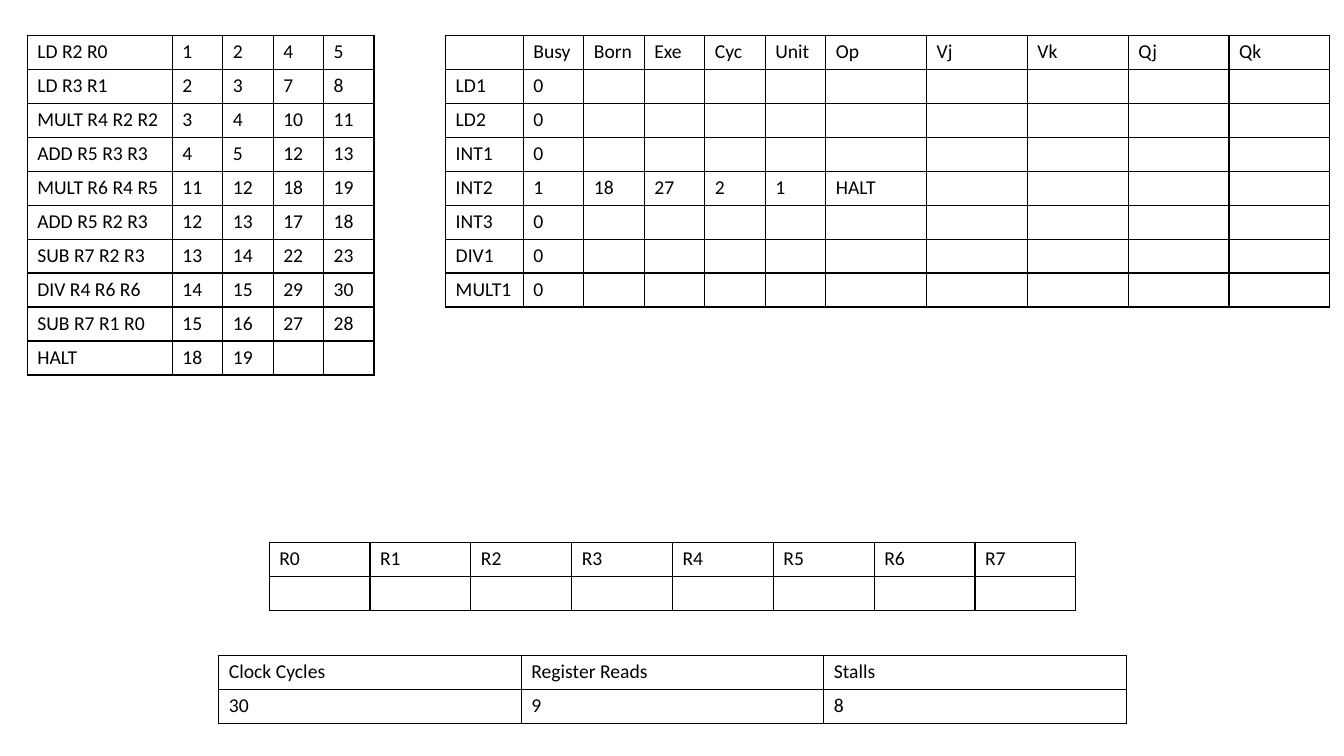
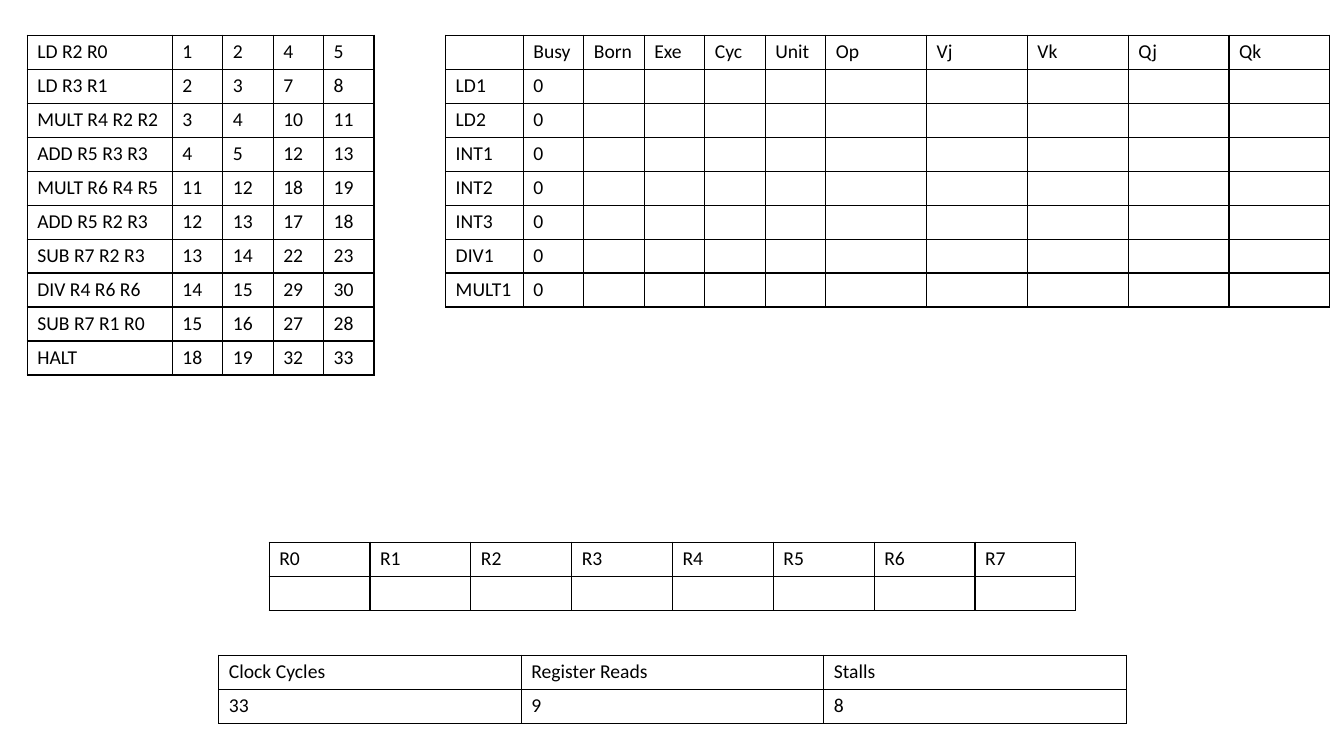
from lxml.etree import SubElement
from pptx import Presentation
from pptx.dml.color import RGBColor
from pptx.oxml.ns import qn
from pptx.util import Inches, Pt

BLACK = RGBColor(0x00, 0x00, 0x00)
FONT = "Calibri"
FONT_SIZE = Pt(14)
BORDER_WIDTH = Pt(1)
ROW_HEIGHT = Inches(0.3)

INSTRUCTIONS = [
    ["LD R2 R0", 1, 2, 4, 5],
    ["LD R3 R1", 2, 3, 7, 8],
    ["MULT R4 R2 R2", 3, 4, 10, 11],
    ["ADD R5 R3 R3", 4, 5, 12, 13],
    ["MULT R6 R4 R5", 11, 12, 18, 19],
    ["ADD R5 R2 R3", 12, 13, 17, 18],
    ["SUB R7 R2 R3", 13, 14, 22, 23],
    ["DIV R4 R6 R6", 14, 15, 29, 30],
    ["SUB R7 R1 R0", 15, 16, 27, 28],
]
STATION_HEADER = ["", "Busy", "Born", "Exe", "Cyc", "Unit", "Op", "Vj", "Vk", "Qj", "Qk"]
STATIONS = ["LD1", "LD2", "INT1", "INT2", "INT3", "DIV1", "MULT1"]
REGISTERS = [f"R{number}" for number in range(8)]
STATISTICS = ["Clock Cycles", "Register Reads", "Stalls"]

# One entry per slide: the HALT row, the busy stations and the statistics
STATES = [
    (["HALT", 18, 19], {"INT2": [1, 18, 27, 2, 1, "HALT"]}, [30, 9, 8]),
    (["HALT", 18, 19, 32, 33], {}, [33, 9, 8]),
]


def style_cell(cell):
    """Give a cell thin black borders, no fill and the shared text size when empty."""
    properties = cell._tc.get_or_add_tcPr()
    for side in ("a:lnL", "a:lnR", "a:lnT", "a:lnB"):
        line = SubElement(properties, qn(side), w=str(BORDER_WIDTH))
        fill = SubElement(line, qn("a:solidFill"))
        SubElement(fill, qn("a:srgbClr"), val=str(BLACK))
    cell.fill.background()
    paragraph = cell.text_frame.paragraphs[0]
    SubElement(paragraph._p, qn("a:endParaRPr"), sz=str(FONT_SIZE.centipoints))


def add_grid(slide, left, top, widths, rows):
    """Add a table; rows may be shorter than the list of column widths."""
    shape = slide.shapes.add_table(
        len(rows), len(widths), Inches(left), Inches(top),
        Inches(sum(widths)), ROW_HEIGHT * len(rows))
    table = shape.table
    table.first_row = False
    table.horz_banding = False
    for column, width in zip(table.columns, widths):
        column.width = Inches(width)
    for row, values in zip(table.rows, rows):
        row.height = ROW_HEIGHT
        for cell, value in zip(row.cells, values):
            if value == "":
                continue
            run = cell.text_frame.paragraphs[0].add_run()
            run.text = str(value)
            run.font.name = FONT
            run.font.size = FONT_SIZE
            run.font.color.rgb = BLACK
        for cell in row.cells:
            style_cell(cell)


presentation = Presentation()
presentation.slide_width = Inches(13.33)
presentation.slide_height = Inches(7.5)
blank_layout = presentation.slide_layouts[6]

for halt_row, busy_stations, statistics in STATES:
    slide = presentation.slides.add_slide(blank_layout)
    station_rows = [[name] + busy_stations.get(name, [0]) for name in STATIONS]
    add_grid(slide, 0.27, 0.35, [1.44] + [0.5] * 4, INSTRUCTIONS + [halt_row])
    add_grid(slide, 4.42, 0.35, [0.77] + [0.6] * 5 + [1] * 5,
             [STATION_HEADER] + station_rows)
    add_grid(slide, 2.67, 5.38, [1] * 8, [REGISTERS, []])
    add_grid(slide, 2.17, 6.5, [3] * 3, [STATISTICS, statistics])

presentation.save("out.pptx")
